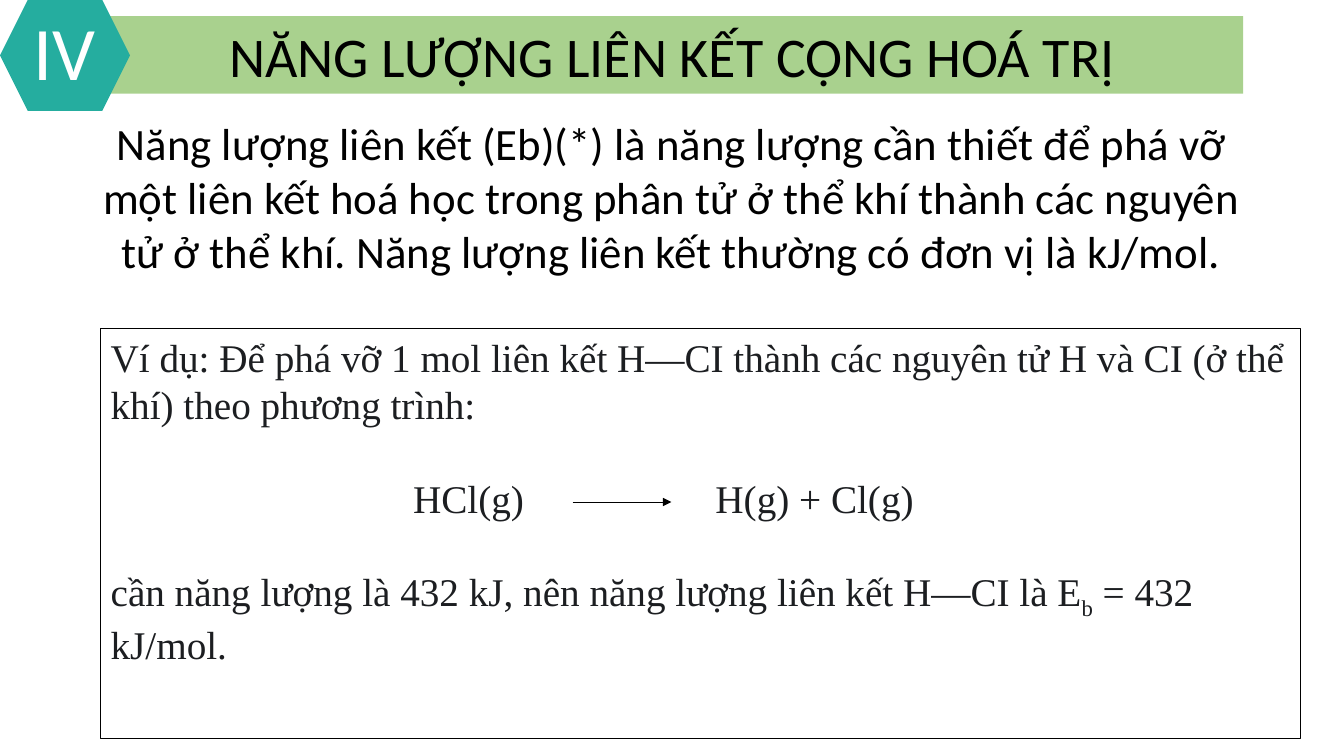
"""Build a slide on covalent bond energy, laid out on a grid of 160 columns by 90 rows."""
import pptx
import pptx.dml.color
import pptx.enum.shapes
import pptx.enum.text
import pptx.oxml
import pptx.oxml.ns
import pptx.util

BLACK = pptx.dml.color.RGBColor(0x00, 0x00, 0x00)
WHITE = pptx.dml.color.RGBColor(0xFF, 0xFF, 0xFF)
GREEN = pptx.dml.color.RGBColor(0xA9, 0xD1, 0x8E)
TEAL = pptx.dml.color.RGBColor(0x25, 0xAD, 0x9F)
INK = pptx.dml.color.RGBColor(0x1C, 0x1E, 0x21)

CELL = pptx.util.Inches(7.5) // 90
SHAPES = pptx.enum.shapes.MSO_SHAPE
ALIGN = pptx.enum.text.PP_ALIGN
ANCHOR = pptx.enum.text.MSO_ANCHOR

TITLE = "NĂNG LƯỢNG LIÊN KẾT CỘNG HOÁ TRỊ"
DEFINITION = (
    "Năng lượng liên kết (Eb)(*) là năng lượng cần thiết để phá vỡ một liên kết "
    "hoá học trong phân tử ở thể khí thành các nguyên tử ở thể khí. "
    "Năng lượng liên kết thường có đơn vị là kJ/mol."
)
EXAMPLE = (
    "Ví dụ: Để phá vỡ 1 mol liên kết H—CI thành các nguyên tử H và CI "
    "(ở thể khí) theo phương trình:"
)
EQUATION = "\tHCl(g)\tH(g) + Cl(g)"
RESULT = ("cần năng lượng là 432 kJ, nên năng lượng liên kết H—CI là E", "b", " = 432 kJ/mol.")


def grid(*cells):
    """Turn grid columns or rows into lengths."""
    return [pptx.util.Emu(round(cell * CELL)) for cell in cells]


def add_xml(parent, markup):
    """Append a DrawingML element to a parent element."""
    tag, rest = markup.split(">", 1)
    namespace = pptx.oxml.ns.nsdecls("a")
    parent.append(pptx.oxml.parse_xml(f"{tag} {namespace}>{rest}"))


def style(paragraph, size, color, name="Calibri", align=ALIGN.LEFT):
    """Format a paragraph and its runs."""
    paragraph.alignment = align
    for run in paragraph.runs:
        run.font.size = pptx.util.Pt(size)
        run.font.name = name
        run.font.color.rgb = color


def fill_placeholder(shape, cells, text, size, anchor):
    """Move a placeholder and give it one centred paragraph."""
    shape.left, shape.top, shape.width, shape.height = grid(*cells)
    frame = shape.text_frame
    frame.text = text
    frame.word_wrap = True
    frame.auto_size = pptx.enum.text.MSO_AUTO_SIZE.NONE
    frame.vertical_anchor = anchor
    paragraph = frame.paragraphs[0]
    paragraph.space_before = pptx.util.Pt(0)
    properties = paragraph._p.get_or_add_pPr()
    properties.set("marL", "0")
    properties.set("indent", "0")
    add_xml(properties, "<a:buNone></a:buNone>")
    style(paragraph, size, BLACK, align=ALIGN.CENTER)


def add_block(shapes, kind, cells, color):
    """Add a filled shape without line or shadow."""
    shape = shapes.add_shape(kind, *grid(*cells))
    shape.shadow.inherit = False
    shape.fill.solid()
    shape.fill.fore_color.rgb = color
    shape.line.fill.background()
    return shape


def add_badge(slide, text):
    """Add the hexagon badge with the section number."""
    badge = slide.shapes.add_group_shape()
    for cells in ((0, 0, 15.48, 13.2), (0.96, 0.84, 13.44, 11.52)):
        add_block(badge.shapes, SHAPES.HEXAGON, cells, TEAL)
    label = badge.shapes.add_textbox(*grid(2.76, 0, 11.64, 12.12))
    label.text_frame.word_wrap = True
    label.text_frame.text = text
    style(label.text_frame.paragraphs[0], 54, WHITE)


def add_example(slide):
    """Add the framed worked example."""
    box = add_block(slide.shapes, SHAPES.RECTANGLE, (12, 39.12, 142.8, 48.84), WHITE)
    box.line.color.rgb = BLACK
    box.line.width = pptx.util.Pt(1)
    frame = box.text_frame
    frame.word_wrap = True
    frame.vertical_anchor = ANCHOR.TOP
    frame.text = EXAMPLE
    equation, result = frame.add_paragraph(), frame.add_paragraph()
    equation.text = EQUATION
    stops = "".join(f'<a:tab pos="{stop}" algn="l"/>' for stop in grid(36, 72))
    add_xml(equation._p.get_or_add_pPr(), f"<a:tabLst>{stops}</a:tabLst>")
    for part in RESULT:
        result.add_run().text = part
    for paragraph in frame.paragraphs:
        style(paragraph, 28, INK, "Times New Roman")
    for paragraph in (equation, result):
        paragraph.space_before = pptx.util.Pt(33)
    result.runs[1].font._element.set("baseline", "-25000")


def add_arrow(slide, start, end):
    """Add a thin reaction arrow between two grid points."""
    arrow = slide.shapes.add_connector(
        pptx.enum.shapes.MSO_CONNECTOR.STRAIGHT, *grid(*start, *end)
    )
    arrow.line.color.rgb = BLACK
    arrow.line.width = pptx.util.Pt(0.5)
    add_xml(arrow.line._get_or_add_ln(), '<a:tailEnd type="triangle"></a:tailEnd>')
    add_xml(arrow._element.spPr, "<a:effectLst></a:effectLst>")


def main():
    """Build and save the presentation."""
    presentation = pptx.Presentation()
    presentation.slide_width, presentation.slide_height = grid(160, 90)
    slide = presentation.slides.add_slide(presentation.slide_layouts[1])
    title, body = slide.placeholders
    fill_placeholder(title, (12, 1.92, 136, 9.24), TITLE, 40, ANCHOR.MIDDLE)
    title.fill.solid()
    title.fill.fore_color.rgb = GREEN
    fill_placeholder(body, (8.64, 13.2, 142.68, 20.64), DEFINITION, 32, ANCHOR.TOP)
    add_badge(slide, "IV")
    add_example(slide)
    add_arrow(slide, (68.16, 59.76), (79.92, 59.76))
    presentation.save("out.pptx")


if __name__ == "__main__":
    main()
